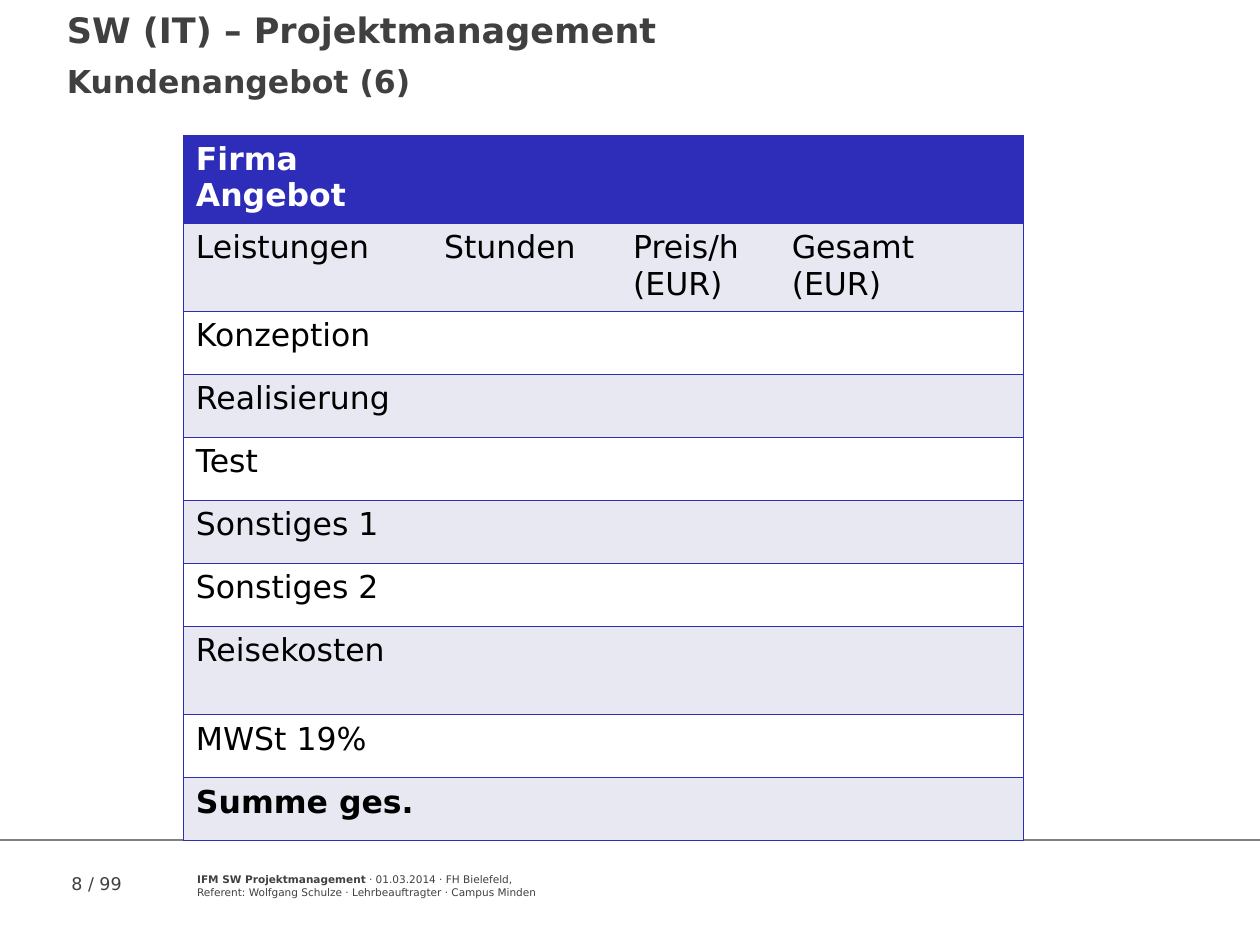
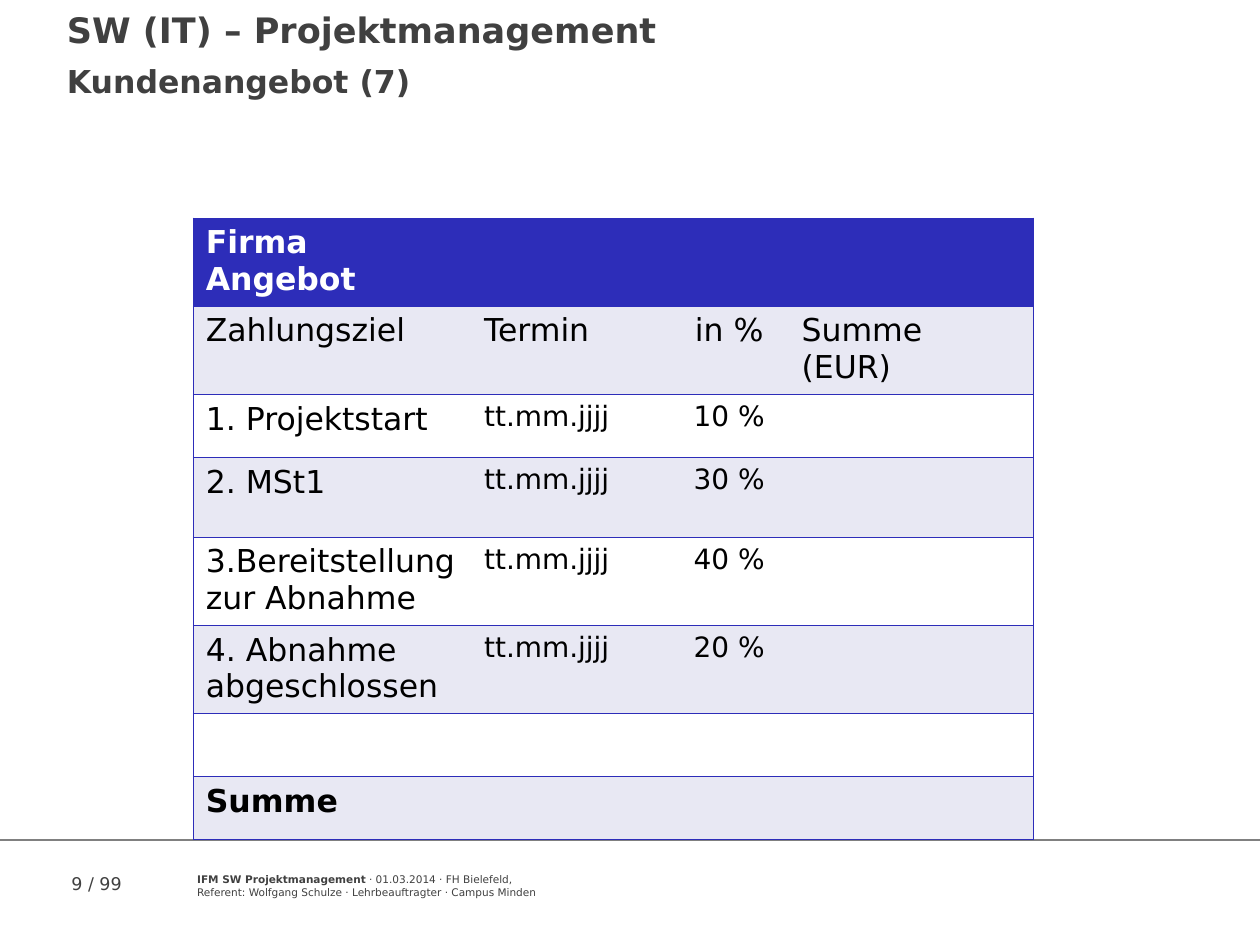
"""Build two slides of a customer offer with a price table and a payment table."""
import pptx
import pptx.util
import pptx.dml.color
import pptx.enum.shapes
import pptx.enum.text
import pptx.oxml
import pptx.oxml.ns

Pt = pptx.util.Pt
ALIGN = pptx.enum.text.PP_ALIGN
FONT = "DejaVu Sans"
HUES = {"blue": "2D2DB9", "pale": "E8E8F3", "white": "FFFFFF",
        "black": "000000", "text": "404040", "rule": "808080"}
TALL, MID, LOW = 50.4, 45.6, 36
NO_STYLE = "{2D5ABB26-0587-4C30-8999-92F81FD0307C}"

OFFER = {
    "at": (104.8, 77.1),
    "cols": (141.8, 108, 90.7, 139.5),
    "rows": [
        (TALL, "Firma\nAngebot"),
        (TALL, "Leistungen", "Stunden", "Preis/h\n(EUR)", "Gesamt\n(EUR)"),
        (LOW, "Konzeption"),
        (LOW, "Realisierung"),
        (LOW, "Test"),
        (LOW, "Sonstiges 1"),
        (LOW, "Sonstiges 2"),
        (TALL, "Reisekosten"),
        (LOW, "MWSt 19%"),
        (LOW, "Summe ges."),
    ],
}
TERMS = {
    "at": (110.4, 124.6),
    "cols": (159.1, 113, 68.4, 139.5),
    "rows": [
        (TALL, "Firma\nAngebot"),
        (TALL, "Zahlungsziel", "Termin", "in %", "Summe (EUR)"),
        (LOW, "1. Projektstart", "tt.mm.jjjj", "10 %"),
        (MID, "2. MSt1", "tt.mm.jjjj", "30 %"),
        (TALL, "3.Bereitstellung\nzur Abnahme", "tt.mm.jjjj", "40 %"),
        (TALL, "4. Abnahme abgeschlossen", "tt.mm.jjjj", "20 %"),
        (LOW,),
        (LOW, "Summe"),
    ],
}


def tint(name):
    """Return the named colour."""
    return pptx.dml.color.RGBColor.from_string(HUES[name])


def put(frame, text, size=18, hue="text", bold=False, align=ALIGN.LEFT, gap=0, lead=""):
    """Write each line of text as a paragraph, with an optional bold lead."""
    for num, line in enumerate(text.split("\n")):
        para = frame.add_paragraph() if num else frame.paragraphs[0]
        para.alignment = align
        para.space_before = Pt(gap if num else 0)
        parts = [(line, bold)]
        if lead and num == 0:
            parts.insert(0, (lead, True))
        for words, heavy in parts:
            run = para.add_run()
            run.text = words
            run.font.name = FONT
            run.font.size = Pt(size)
            run.font.bold = heavy
            run.font.color.rgb = tint(hue)


def add_text(slide, left, top, width, height, text, **form):
    """Add a wrapped text box."""
    box = slide.shapes.add_textbox(Pt(left), Pt(top), Pt(width), Pt(height))
    box.text_frame.word_wrap = True
    put(box.text_frame, text, **form)


def add_title(slide, topic):
    """Set the two-line title."""
    title = slide.shapes.title
    title.left, title.top, title.width, title.height = Pt(31), Pt(0), Pt(567.4), Pt(58.3)
    frame = title.text_frame
    frame.word_wrap = True
    frame.auto_size = pptx.enum.text.MSO_AUTO_SIZE.NONE
    frame.vertical_anchor = pptx.enum.text.MSO_ANCHOR.TOP
    frame.margin_top = Pt(5)
    put(frame, "SW (IT) – Projektmanagement\n" + topic, bold=True, gap=6.2)
    frame.paragraphs[0].runs[0].font.size = Pt(20)


def add_foot(slide, page):
    """Draw the footer rule, the page count and the course details."""
    rule = slide.shapes.add_connector(
        pptx.enum.shapes.MSO_CONNECTOR.STRAIGHT, Pt(0), Pt(480), Pt(720), Pt(480))
    rule.line.color.rgb = tint("rule")
    rule.line.width = Pt(0.75)
    rule._element.spPr.append(pptx.oxml.parse_xml(
        f"<a:effectLst {pptx.oxml.ns.nsdecls('a')}/>"))
    add_text(slide, 33.8, 495.4, 72, 32.4, f"{page} / 99", size=10)
    add_text(slide, 105.6, 495.4, 448, 21.6,
             " · 01.03.2014 · FH Bielefeld,\n"
             "Referent: Wolfgang Schulze · Lehrbeauftragter · Campus Minden",
             size=6, lead="IFM SW Projektmanagement")


def edge(cell, sides):
    """Draw thin blue borders on the given sides of a cell."""
    props = cell._tc.get_or_add_tcPr()
    for side in sides:
        props.append(pptx.oxml.parse_xml(
            f"<a:ln{side} {pptx.oxml.ns.nsdecls('a')} w='{Pt(0.45)}'>"
            f"<a:solidFill><a:srgbClr val='{HUES['blue']}'/></a:solidFill></a:ln{side}>"))


def add_grid(slide, at, cols, rows):
    """Add a banded table with a blue head and a bold last row."""
    wide, high = sum(cols), sum(row[0] for row in rows)
    table = slide.shapes.add_table(
        len(rows), len(cols), Pt(at[0]), Pt(at[1]), Pt(wide), Pt(high)).table
    table._tbl.tblPr.find(pptx.oxml.ns.qn("a:tableStyleId")).text = NO_STYLE
    table.first_row = table.horz_banding = False
    for col, width in zip(table.columns, cols):
        col.width = Pt(width)
    last = len(cols) - 1
    for r, (height, *texts) in enumerate(rows):
        table.rows[r].height = Pt(height)
        band = "blue" if r == 0 else ("white", "pale")[r % 2]
        for c in range(len(cols)):
            cell = table.cell(r, c)
            edge(cell, "L" * (c == 0) + "R" * (c == last) + "TB")
            cell.fill.solid()
            cell.fill.fore_color.rgb = tint(band)
            if c < len(texts):
                text = texts[c]
                put(cell.text_frame, text,
                    size=16 if r > 1 and c else 18,
                    hue="black" if r else "white",
                    bold=r in (0, len(rows) - 1),
                    align=ALIGN.CENTER if text.endswith(" %") else ALIGN.LEFT)


def main():
    """Build and save the slides."""
    deck = pptx.Presentation()
    deck.slide_width, deck.slide_height = Pt(720), Pt(540)
    for num, grid in enumerate((OFFER, TERMS)):
        slide = deck.slides.add_slide(deck.slide_layouts[5])
        add_title(slide, f"Kundenangebot ({num + 6})")
        add_foot(slide, num + 8)
        add_grid(slide, **grid)
    deck.save("out.pptx")


if __name__ == "__main__":
    main()
